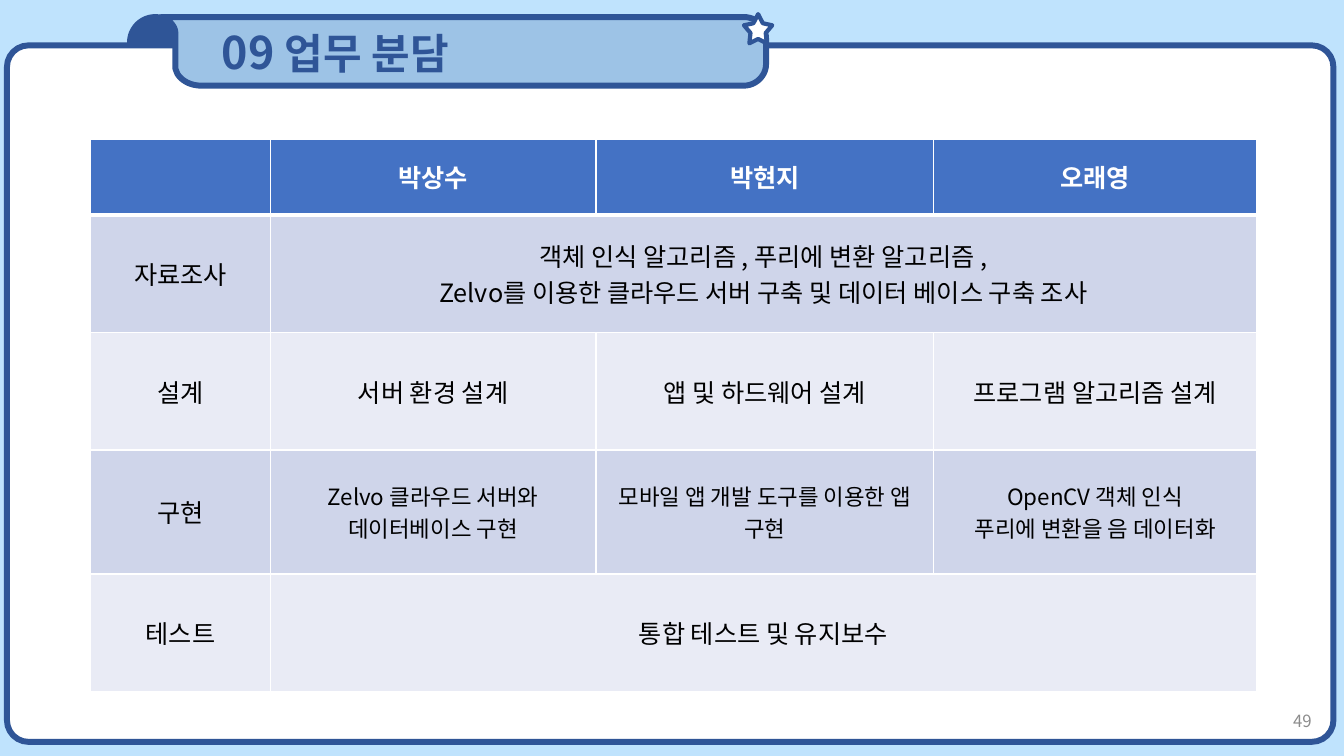
from pptx import Presentation
from pptx.dml.color import RGBColor
from pptx.enum.shapes import MSO_SHAPE as Preset
from pptx.enum.text import MSO_ANCHOR as Anchor, PP_ALIGN as Align
from pptx.util import Pt
from lxml.etree import SubElement
from pptx.oxml.ns import qn

FONT = "Noto Sans CJK KR"
COLORS = {
    "sky": "BFE3FD", "navy": "2F5597", "tab": "9DC3E6", "white": "FFFFFF",
    "header": "4472C4", "band_dark": "CFD5EA", "band_light": "E9EBF5",
    "black": "000000", "gray": "8C8C8C",
}


def write(paragraph, text, size=18, color="black", bold=False, align=Align.CENTER):
    paragraph.alignment = align
    run = paragraph.add_run()
    run.text = text
    run.font.size = Pt(size)
    run.font.bold = bold
    run.font.name = FONT
    run.font.color.rgb = RGBColor.from_string(COLORS[color])
    SubElement(run.font._element, qn("a:ea"), typeface=FONT)


def paint(shape, fill, line_width):
    shape.shadow.inherit = False
    shape.fill.solid()
    shape.fill.fore_color.rgb = RGBColor.from_string(COLORS[fill])
    shape.line.color.rgb = RGBColor.from_string(COLORS["navy"])
    shape.line.width = Pt(line_width)


presentation = Presentation()
presentation.slide_width, presentation.slide_height = Pt(960), Pt(540)
slide = presentation.slides.add_slide(presentation.slide_layouts[6])
slide.background.fill.solid()
slide.background.fill.fore_color.rgb = RGBColor.from_string(COLORS["sky"])
shapes = slide.shapes

fold = shapes.add_shape(Preset.ROUND_2_SAME_RECTANGLE, Pt(92.9), Pt(12.2), Pt(36), Pt(70.6))
fold.adjustments[0] = 0.5
paint(fold, "navy", 4.25)

page = shapes.add_shape(Preset.ROUNDED_RECTANGLE, Pt(5), Pt(32.4), Pt(947.5), Pt(497.5))
page.adjustments[0] = 0.031
paint(page, "white", 4.25)

banner_path = [
    [(531.4, 12.2)],
    [(540, 12.2), (547.2, 18.7), (547.2, 27.4)],
    [(547.2, 46.1)],
    [(547.2, 54), (540, 61.2), (531.4, 61.2)],
    [(144, 61.2)],
    [(136.1, 61.2), (129.6, 57.6), (126.7, 52.6)],
    [(125.3, 49)],
    [(125.3, 23.8)],
    [(125.3, 19.4), (122.4, 15.8), (118.1, 13.7)],
    [(115.2, 13)],
    [(115.2, 12.2)],
]
CURVE_STEPS = 12
outline = [(352.8, 12.2)]
for segment in banner_path:
    if len(segment) == 1:
        outline += segment
        continue
    controls = [outline[-1]] + segment
    for step in range(1, CURVE_STEPS + 1):
        t = step / CURVE_STEPS
        weights = ((1 - t) ** 3, 3 * t * (1 - t) ** 2, 3 * t ** 2 * (1 - t), t ** 3)
        outline.append(tuple(
            sum(weight * point[axis] for weight, point in zip(weights, controls))
            for axis in (0, 1)
        ))
points = [(Pt(x), Pt(y)) for x, y in outline]
builder = shapes.build_freeform(*points[0])
builder.add_line_segments(points[1:], close=True)
banner = builder.convert_to_shape()
paint(banner, "tab", 4.25)
banner.text_frame.margin_left = Pt(43.2)
banner.text_frame.vertical_anchor = Anchor.MIDDLE
title = banner.text_frame.paragraphs[0]
for text, size in (("09 ", 32), ("업무 분담", 30)):
    write(title, text, size=size, color="navy", bold=True, align=Align.LEFT)

star = shapes.add_shape(Preset.STAR_5_POINT, Pt(531.4), Pt(10.1), Pt(20.2), Pt(20.9))
star.adjustments[0] = 0.269
paint(star, "white", 3)

duties = [
    ["", "박상수", "박현지", "오래영"],
    ["자료조사", "객체 인식 알고리즘 , 푸리에 변환 알고리즘 ,\n"
     "Zelvo를 이용한 클라우드 서버 구축 및 데이터 베이스 구축 조사"],
    ["설계", "서버 환경 설계", "앱 및 하드웨어 설계", "프로그램 알고리즘 설계"],
    ["구현", "Zelvo 클라우드 서버와\n데이터베이스 구현", "모바일 앱 개발 도구를 이용한 앱 구현",
     "OpenCV 객체 인식\n푸리에 변환을 음 데이터화"],
    ["테스트", "통합 테스트 및 유지보수"],
]
column_widths = [128.2, 232.7, 241.4, 230.4]
row_heights = [54, 84, 84, 88.6, 84]
IMPLEMENTATION_ROW = 3

table = shapes.add_table(
    len(row_heights), len(column_widths), Pt(64.8), Pt(99.4),
    Pt(sum(column_widths)), Pt(sum(row_heights)),
).table
for column, width in zip(table.columns, column_widths):
    column.width = Pt(width)
for row, height in zip(table.rows, row_heights):
    row.height = Pt(height)

for row_index, texts in enumerate(duties):
    is_header = row_index == 0
    fill = "header" if is_header else ("band_light", "band_dark")[row_index % 2]
    for column_index in range(len(column_widths)):
        cell = table.cell(row_index, column_index)
        cell.vertical_anchor = Anchor.MIDDLE
        properties = cell._tc.get_or_add_tcPr()
        for side in ("lnL", "lnR", "lnT", "lnB"):
            thick = (row_index, side) in ((0, "lnB"), (1, "lnT"))
            border = SubElement(properties, qn(f"a:{side}"), w=str(Pt(3 if thick else 1)))
            SubElement(SubElement(border, qn("a:solidFill")), qn("a:srgbClr"), val=COLORS["white"])
        cell.fill.solid()
        cell.fill.fore_color.rgb = RGBColor.from_string(COLORS[fill])
    if len(texts) == 2:
        table.cell(row_index, 1).merge(table.cell(row_index, 3))
    for column_index, text in enumerate(texts):
        if not text:
            continue
        frame = table.cell(row_index, column_index).text_frame
        small = row_index == IMPLEMENTATION_ROW and column_index > 0
        for line_index, line in enumerate(text.split("\n")):
            paragraph = frame.add_paragraph() if line_index else frame.paragraphs[0]
            write(paragraph, line, size=16 if small else 18,
                  color="white" if is_header else "black", bold=is_header)

number_box = shapes.add_textbox(Pt(728), Pt(500.4), Pt(216), Pt(28.8))
number_box.text_frame.word_wrap = True
number_box.text_frame.vertical_anchor = Anchor.MIDDLE
write(number_box.text_frame.paragraphs[0], "49", size=12, color="gray", align=Align.RIGHT)

presentation.save("out.pptx")
